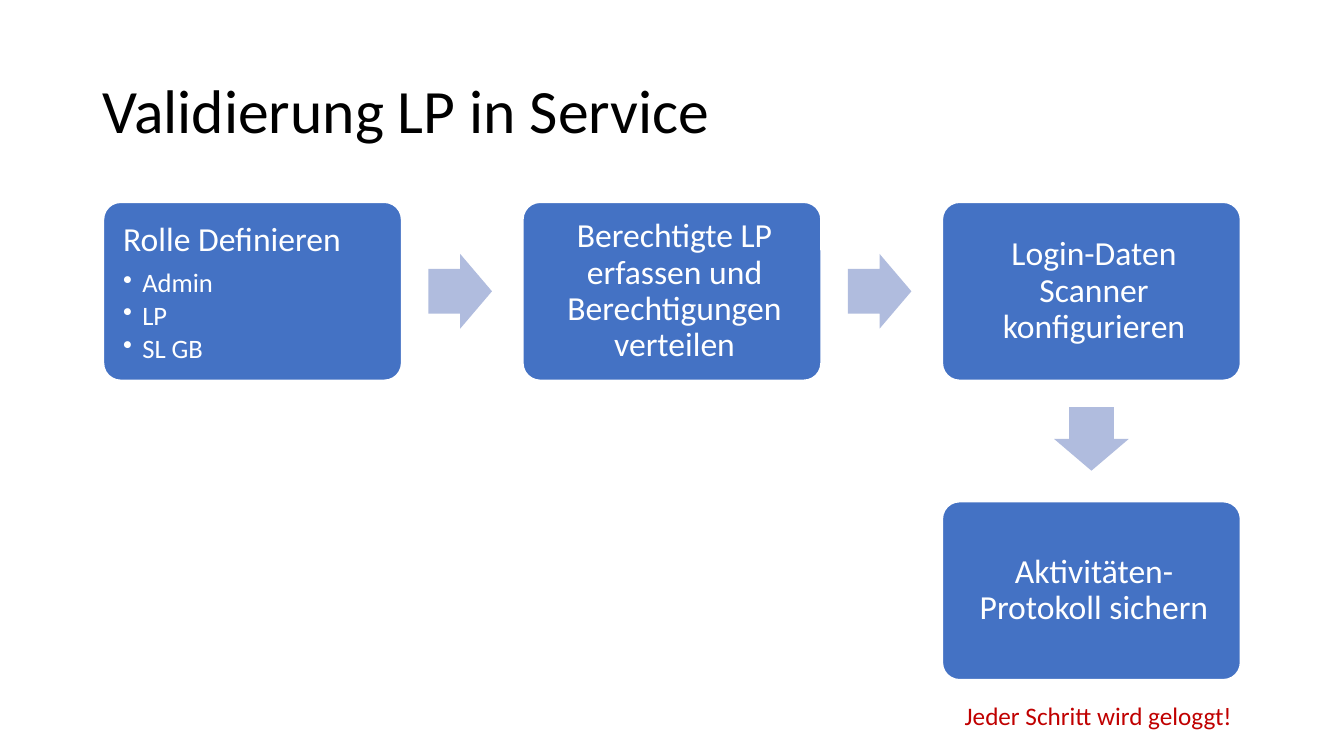
import pptx
import pptx.util
import pptx.dml.color
import pptx.enum.shapes
import pptx.enum.text
from dataclasses import dataclass
from lxml import etree

Inches = pptx.util.Inches
Pt = pptx.util.Pt
Shape = pptx.enum.shapes.MSO_SHAPE
Anchor = pptx.enum.text.MSO_ANCHOR
Align = pptx.enum.text.PP_ALIGN


@dataclass(frozen=True)
class Theme:
    font: str = "Calibri"
    black: str = "000000"
    white: str = "FFFFFF"
    blue: str = "4472C4"
    pale: str = "B0BCDE"
    red: str = "C00000"
    title: int = 44
    step: int = 24
    item: int = 19
    note: int = 18


theme = Theme()

STEPS = [
    ("Rolle Definieren", ["Admin", "LP", "SL GB"], 0, 0),
    ("Berechtigte LP erfassen und Berechtigungen verteilen", [], 1, 0),
    ("Login-Daten Scanner konfigurieren", [], 2, 0),
    ("Aktivitäten-Protokoll sichern", [], 2, 1),
]
WIDTH, HEIGHT = 2.97, 1.78
PITCH_X, PITCH_Y = 4.16, 2.97
ARROW_W, ARROW_H = 0.63, 0.74
GAP = 0.26


def rgb(code):
    return pptx.dml.color.RGBColor.from_string(code)


def style(para, size, color, spacing=0.9, after=0):
    para.font.name = theme.font
    para.font.size = Pt(size)
    para.font.color.rgb = rgb(color)
    para.line_spacing = spacing
    para.space_after = Pt(after)


def bullet(para):
    props = para._p.get_or_add_pPr()
    props.set("marL", str(Inches(0.19)))
    props.set("indent", str(-Inches(0.19)))
    mark = etree.SubElement(props, pptx.oxml.ns.qn("a:buChar"))
    mark.set("char", "•")
    props.insert_element_before(mark, "a:tabLst", "a:defRPr", "a:extLst")


def add_text(slide, box, text, size, color, spacing, anchor):
    frame = slide.shapes.add_textbox(*map(Inches, box)).text_frame
    frame.word_wrap = True
    frame.vertical_anchor = anchor
    para = frame.paragraphs[0]
    para.text = text
    style(para, size, color, spacing)


def add_shape(slide, kind, box, fill):
    shape = slide.shapes.add_shape(kind, *map(Inches, box))
    shape.shadow.inherit = False
    shape.fill.solid()
    shape.fill.fore_color.rgb = rgb(fill)
    shape.line.fill.background()
    return shape


def add_step(slide, box, text, items):
    shape = add_shape(slide, Shape.ROUNDED_RECTANGLE, box, theme.blue)
    shape.adjustments[0] = 0.1
    shape.line.color.rgb = rgb(theme.white)
    shape.line.width = Pt(2)
    frame = shape.text_frame
    frame.word_wrap = True
    frame.margin_left = frame.margin_top = frame.margin_bottom = Inches(0.15)
    frame.margin_right = Inches(0.1)
    frame.vertical_anchor = Anchor.TOP if items else Anchor.MIDDLE
    head = frame.paragraphs[0]
    head.text = text
    head.alignment = Align.LEFT if items else Align.CENTER
    style(head, theme.step, theme.white, after=8.4)
    for item in items:
        para = frame.add_paragraph()
        para.text = item
        para.level = 1
        para.alignment = Align.LEFT
        style(para, theme.item, theme.white, after=2.9)
        bullet(para)


def add_arrow(slide, box, down):
    left, top, width, height = box
    if down:
        left += (width - ARROW_W) / 2
        top += height + GAP - (ARROW_H - ARROW_W) / 2
    else:
        left += width + GAP
        top += (height - ARROW_H) / 2
    place = (left, top, ARROW_W, ARROW_H)
    arrow = add_shape(slide, Shape.RIGHT_ARROW, place, theme.pale)
    arrow.adjustments[0] = 0.6
    arrow.adjustments[1] = 0.5
    arrow.rotation = 90 if down else 0


def add_flow(slide, left, top):
    for index, (text, items, col, row) in enumerate(STEPS):
        box = (left + col * PITCH_X, top + row * PITCH_Y, WIDTH, HEIGHT)
        add_step(slide, box, text, items)
        if index + 1 < len(STEPS):
            add_arrow(slide, box, STEPS[index + 1][3] > row)


def main():
    deck = pptx.Presentation()
    deck.slide_width = Inches(13.33)
    deck.slide_height = Inches(7.5)
    slide = deck.slides.add_slide(deck.slide_layouts[6])
    add_text(slide, (0.92, 0.4, 11.5, 1.45), "Validierung LP in Service",
             theme.title, theme.black, 0.9, Anchor.MIDDLE)
    add_flow(slide, 1.02, 2)
    add_text(slide, (9.47, 6.9, 2.94, 0.4), "Jeder Schritt wird geloggt!",
             theme.note, theme.red, 1.0, Anchor.TOP)
    deck.save("out.pptx")


if __name__ == "__main__":
    main()
